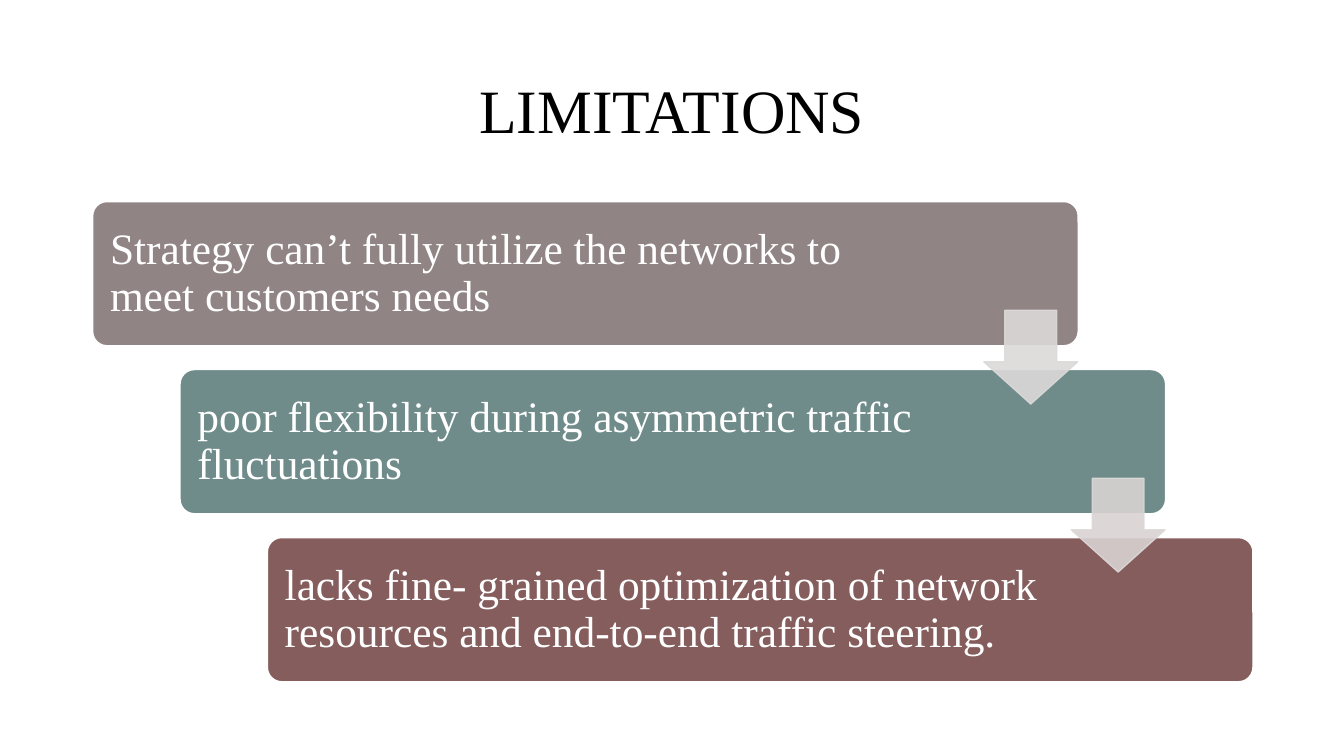
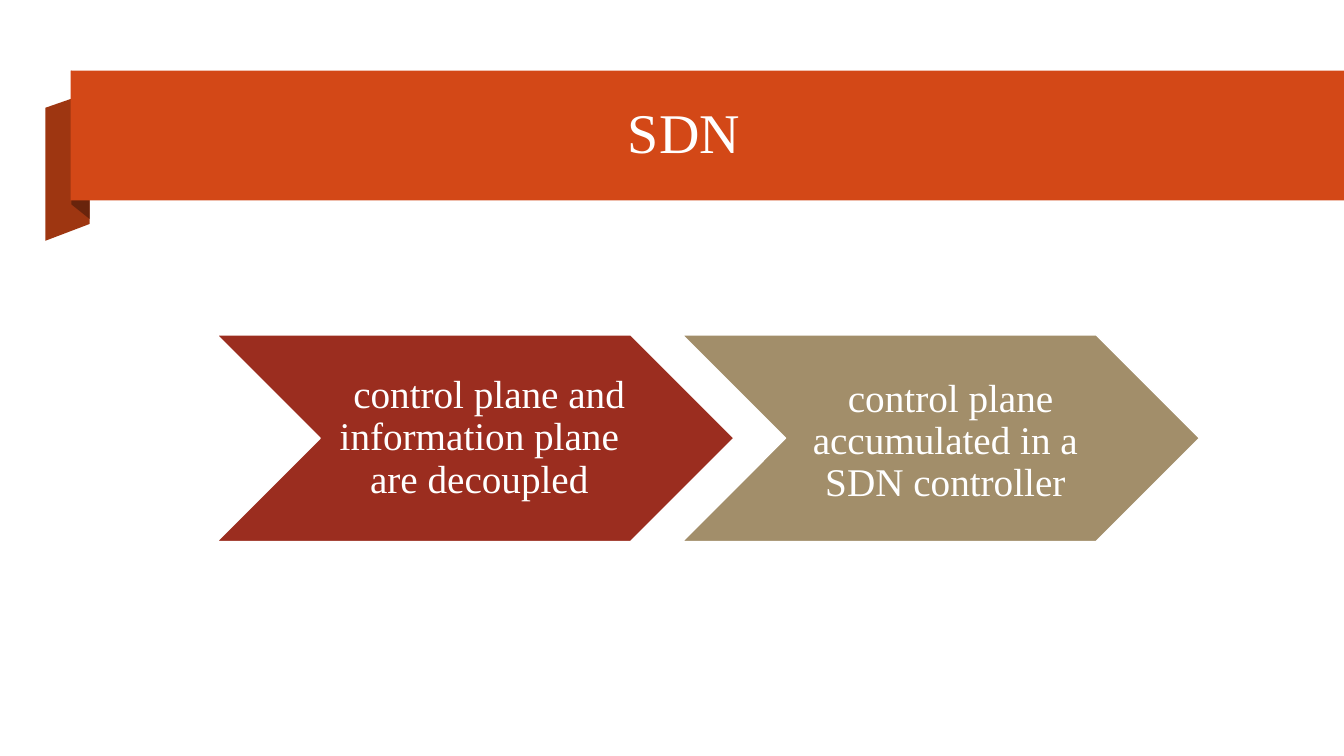
from lxml import etree
from pptx import Presentation
from pptx.dml.color import RGBColor
from pptx.enum import shapes, text
from pptx.oxml import ns
from pptx.util import Pt

FONT = "Times New Roman"
BLACK = RGBColor(0, 0, 0)
WHITE = RGBColor(0xFF, 0xFF, 0xFF)
ORANGE = RGBColor(0xD3, 0x48, 0x17)
RUST = RGBColor(0x9E, 0x36, 0x11)
BROWN = RGBColor(0x69, 0x24, 0x0C)
MAUVE = RGBColor(0x91, 0x84, 0x85)
TEAL = RGBColor(0x6F, 0x8C, 0x8B)
ROSE = RGBColor(0x85, 0x5D, 0x5D)
RED = RGBColor(0x9B, 0x2D, 0x1F)
TAN = RGBColor(0xA2, 0x8E, 0x6A)
PALE = RGBColor(0xDC, 0xD9, 0xD9)
BLUSH = RGBColor(0xD9, 0xD2, 0xD2)

KIND = shapes.MSO_SHAPE
LEFT, CENTER = text.PP_ALIGN.LEFT, text.PP_ALIGN.CENTER

STEPS = [
    ("Strategy can’t fully utilize the networks to meet customers needs", MAUVE, 115),
    ("poor flexibility during asymmetric traffic fluctuations", TEAL, 139),
    ("lacks fine- grained optimization of network resources "
     "and end-to-end traffic steering.", ROSE, 139),
]
# Text, fill, first-line indent, insets (left, top, right, bottom)
PLANES = [
    ("control plane and information plane are decoupled", RED, 14, (8.6, 3, 3, 3)),
    ("control plane accumulated in a SDN controller", TAN, 7.5, (10, 8.6, 3.6, 3.6)),
]


def write(shape, words, size, color=WHITE, align=CENTER,
          pads=(7.2, 3.6, 7.2, 3.6), indent=0):
    frame = shape.text_frame
    frame.word_wrap = True
    frame.vertical_anchor = text.MSO_ANCHOR.MIDDLE
    (frame.margin_left, frame.margin_top,
     frame.margin_right, frame.margin_bottom) = map(Pt, pads)
    para = frame.paragraphs[0]
    para.text = words
    para.alignment = align
    para.line_spacing = 0.9
    para.font.name = FONT
    para.font.size = Pt(size)
    para.font.color.rgb = color
    if indent:
        props = para._p.get_or_add_pPr()
        props.set("marL", "0")
        props.set("indent", str(Pt(indent)))


def title(slide, words, box, size, color):
    write(slide.shapes.add_textbox(*map(Pt, box)), words, size, color)


def paint(shape, fill, line=None):
    shape.shadow.inherit = False
    shape.fill.solid()
    shape.fill.fore_color.rgb = fill
    if line is None:
        shape.line.fill.background()
    else:
        shape.line.color.rgb = line
        shape.line.width = Pt(1)


def block(slide, kind, box, fill, line=None, adjust=()):
    shape = slide.shapes.add_shape(kind, *map(Pt, box))
    for index, value in enumerate(adjust):
        shape.adjustments[index] = value
    paint(shape, fill, line)
    return shape


def fade(shape, percent):
    """Set the opacity of the fill and the line."""
    for color in shape._element.spPr.iter(ns.qn("a:srgbClr")):
        etree.SubElement(color, ns.qn("a:alpha")).set("val", str(percent * 1000))


def outline(slide, points, fill):
    first, *rest = [(Pt(x), Pt(y)) for x, y in points]
    path = slide.shapes.build_freeform(*first)
    path.add_line_segments(rest, close=True)
    paint(path.convert_to_shape(), fill)


def stairs(slide):
    across, down = 62.4, 120
    for i, (words, fill, right) in enumerate(STEPS):
        bar = block(slide, KIND.ROUNDED_RECTANGLE,
                    (66.2 + i * across, 144 + i * down, 704, 103),
                    fill, WHITE, (0.1,))
        write(bar, words, 31, align=LEFT, pads=(9.4, 9.4, right, 9.4))
    for i, fill in enumerate((PALE, BLUSH)):
        arrow = block(slide, KIND.DOWN_ARROW,
                      (702.8 + i * across, 221.6 + i * down, 67, 67),
                      fill, PALE, (0.55, 0.45))
        fade(arrow, 90)


def ribbon(slide):
    outline(slide, [(64, 160), (32.4, 172), (32.4, 77), (64, 66)], RUST)
    outline(slide, [(64, 156.4), (51, 146), (51, 50.4), (64, 61)], BROWN)
    block(slide, KIND.RECTANGLE, (50.4, 50.4, 909.6, 92.8), ORANGE)


def chain(slide):
    for i, (words, fill, indent, pads) in enumerate(PLANES):
        link = block(slide, KIND.CHEVRON,
                     (154.9 + i * 332.5, 239.2, 369.4, 147.6), fill, WHITE)
        write(link, words, 28, pads=pads, indent=indent)


def main():
    deck = Presentation()
    deck.slide_width, deck.slide_height = Pt(960), Pt(540)
    blank = deck.slide_layouts[6]

    limits = deck.slides.add_slide(blank)
    title(limits, "LIMITATIONS", (66, 28.8, 828, 104.4), 44, BLACK)
    stairs(limits)

    network = deck.slides.add_slide(blank)
    ribbon(network)
    title(network, "SDN", (82.8, 62, 811.4, 69), 40, WHITE)
    chain(network)

    deck.save("out.pptx")


if __name__ == "__main__":
    main()
